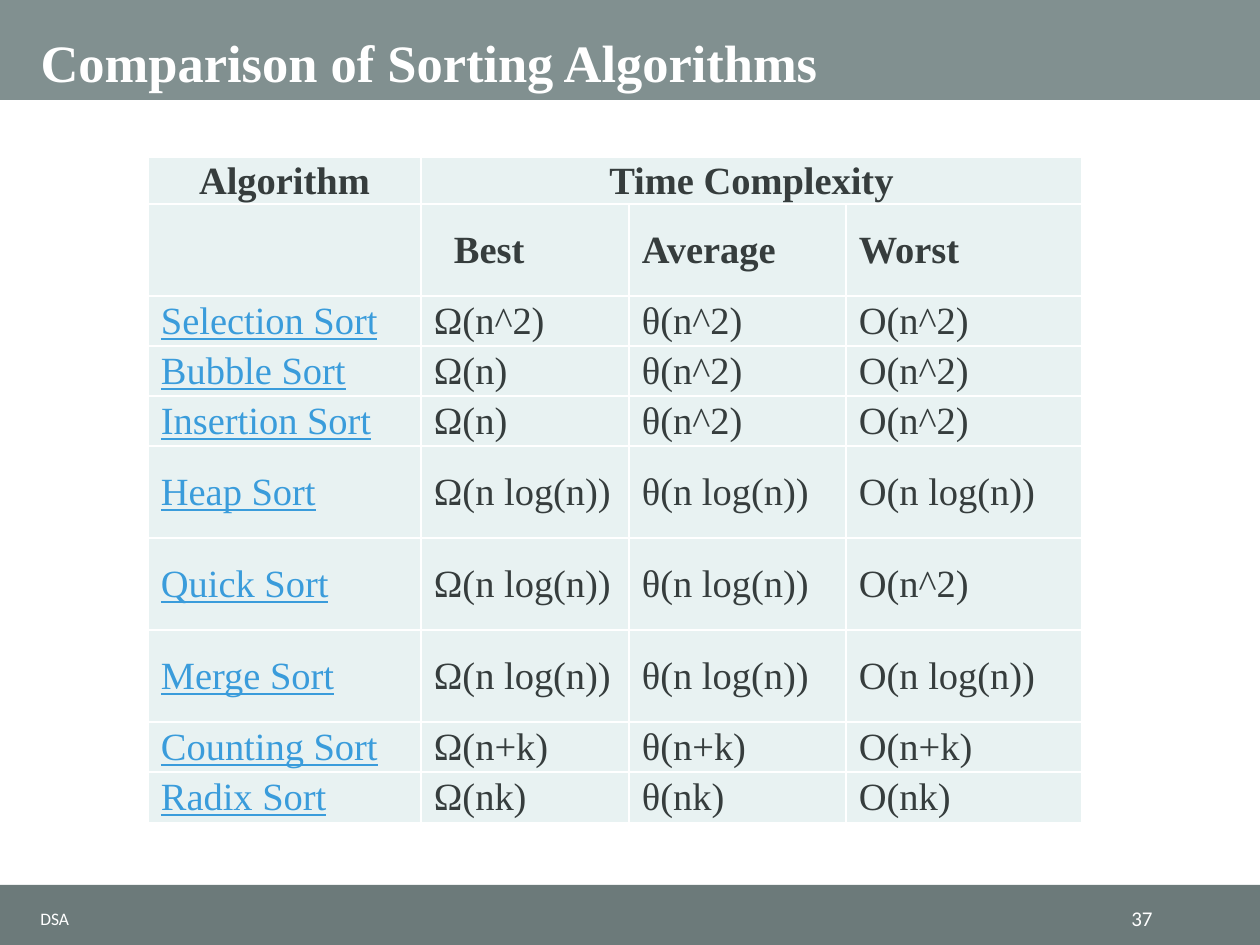
from dataclasses import dataclass

from lxml.etree import SubElement
from pptx import Presentation
from pptx.dml.color import RGBColor
from pptx.enum.shapes import MSO_SHAPE
from pptx.enum.text import MSO_ANCHOR, MSO_AUTO_SIZE, PP_ALIGN
from pptx.oxml.ns import qn
from pptx.util import Emu, Pt

PX_PER_INCH = 126
SLIDE_WIDTH, SLIDE_HEIGHT = 1260, 945
SERIF, SANS = "Times New Roman", "Calibri"
WHITE, INK, LINK, CELL_FILL = "FFFFFF", "363D3D", "3A9CDB", "E8F2F2"
CELL_MARGIN, BEST_MARGIN = 13, 33


@dataclass(frozen=True)
class Box:
    left: int
    top: int
    width: int
    height: int

    def emu(self) -> tuple:
        return tuple(px(n) for n in (self.left, self.top, self.width, self.height))


@dataclass(frozen=True)
class Style:
    font: str
    size: int
    color: str
    bold: bool = False
    underline: bool = False


@dataclass(frozen=True)
class Algorithm:
    name: str
    best: str
    average: str
    worst: str
    height: int


HEADING = Style(SERIF, 22, INK, bold=True)
VALUE = Style(SERIF, 22, INK)
LINK_NAME = Style(SERIF, 22, LINK, underline=True)

BARS = [(Box(0, 0, SLIDE_WIDTH, 100), "819090"), (Box(0, 885, SLIDE_WIDTH, 60), "6C7A7A")]
TITLE_BOX = Box(28, 0, 1206, 100)
FOOTER_BOX = Box(28, 902, 876, 33)
NUMBER_BOX = Box(1067, 902, 98, 33)
TABLE_BOX = Box(148, 157, 934, 666)
COLUMN_WIDTHS = [273, 208, 217, 236]
HEADING_HEIGHTS = [32, 92]
ALGORITHMS = [
    Algorithm("Selection Sort", "Ω(n^2)", "θ(n^2)", "O(n^2)", 50),
    Algorithm("Bubble Sort", "Ω(n)", "θ(n^2)", "O(n^2)", 50),
    Algorithm("Insertion Sort", "Ω(n)", "θ(n^2)", "O(n^2)", 50),
    Algorithm("Heap Sort", "Ω(n log(n))", "θ(n log(n))", "O(n log(n))", 92),
    Algorithm("Quick Sort", "Ω(n log(n))", "θ(n log(n))", "O(n^2)", 92),
    Algorithm("Merge Sort", "Ω(n log(n))", "θ(n log(n))", "O(n log(n))", 92),
    Algorithm("Counting Sort", "Ω(n+k)", "θ(n+k)", "O(n+k)", 50),
    Algorithm("Radix Sort", "Ω(nk)", "θ(nk)", "O(nk)", 51),
]


def px(length: int) -> Emu:
    return Emu(round(length * 914400 / PX_PER_INCH))


def rgb(color: str) -> RGBColor:
    return RGBColor.from_string(color)


def add_run(paragraph, text: str, style: Style) -> None:
    run = paragraph.add_run()
    run.text = text
    run.font.name = style.font
    run.font.size = Pt(style.size)
    run.font.bold = style.bold
    run.font.underline = style.underline
    run.font.color.rgb = rgb(style.color)


def add_bar(slide, box: Box, color: str) -> None:
    shape = slide.shapes.add_shape(MSO_SHAPE.RECTANGLE, *box.emu())
    shape.shadow.inherit = False
    shape.fill.solid()
    shape.fill.fore_color.rgb = rgb(color)
    shape.line.fill.background()


def write_title(slide, text: str) -> None:
    title = slide.shapes.title
    title.left, title.top, title.width, title.height = TITLE_BOX.emu()
    # The title lies in front of the header bar.
    title.element.getparent().append(title.element)
    frame = title.text_frame
    frame.auto_size = MSO_AUTO_SIZE.NONE
    frame.vertical_anchor = MSO_ANCHOR.BOTTOM
    paragraph = frame.paragraphs[0]
    paragraph.alignment = PP_ALIGN.LEFT
    paragraph.line_spacing = 0.9
    add_run(paragraph, text, Style(SERIF, 30, WHITE, bold=True))


def add_footer_text(slide, box: Box, text: str, size: int, alignment: PP_ALIGN) -> None:
    frame = slide.shapes.add_textbox(*box.emu()).text_frame
    frame.word_wrap = True
    frame.vertical_anchor = MSO_ANCHOR.MIDDLE
    frame.paragraphs[0].alignment = alignment
    add_run(frame.paragraphs[0], text, Style(SANS, size, WHITE))


def format_cell(cell) -> None:
    """Give the cell its white borders, fill and margins."""
    properties = cell._tc.get_or_add_tcPr()
    for side in ("a:lnL", "a:lnR", "a:lnT", "a:lnB"):
        border = SubElement(properties, qn(side), w=str(Pt(1)))
        SubElement(SubElement(border, qn("a:solidFill")), qn("a:srgbClr"), val=WHITE)
    cell.fill.solid()
    cell.fill.fore_color.rgb = rgb(CELL_FILL)
    cell.vertical_anchor = MSO_ANCHOR.MIDDLE
    cell.margin_left = px(CELL_MARGIN)
    cell.margin_right = cell.margin_top = px(1)
    cell.margin_bottom = 0


def write_cell(cell, text: str, style: Style, margin: int = CELL_MARGIN,
               alignment: PP_ALIGN = PP_ALIGN.LEFT) -> None:
    cell.margin_left = px(margin)
    paragraph = cell.text_frame.paragraphs[0]
    paragraph.alignment = alignment
    add_run(paragraph, text, style)


def add_complexity_table(slide) -> None:
    heights = HEADING_HEIGHTS + [algorithm.height for algorithm in ALGORITHMS]
    graphic = slide.shapes.add_table(len(heights), len(COLUMN_WIDTHS), *TABLE_BOX.emu())
    table = graphic.table
    for column, width in zip(table.columns, COLUMN_WIDTHS):
        column.width = px(width)
    for row, height in zip(table.rows, heights):
        row.height = px(height)
    graphic.height = px(TABLE_BOX.height)
    for cell in table.iter_cells():
        format_cell(cell)

    table.cell(0, 1).merge(table.cell(0, 3))
    for column, text in enumerate(["Algorithm", "Time Complexity"]):
        write_cell(table.cell(0, column), text, HEADING, 1, PP_ALIGN.CENTER)
    cases = [("Best", BEST_MARGIN), ("Average", CELL_MARGIN), ("Worst", CELL_MARGIN)]
    for column, (text, margin) in enumerate(cases, start=1):
        write_cell(table.cell(1, column), text, HEADING, margin)

    for row, algorithm in enumerate(ALGORITHMS, start=len(HEADING_HEIGHTS)):
        write_cell(table.cell(row, 0), algorithm.name, LINK_NAME)
        values = [algorithm.best, algorithm.average, algorithm.worst]
        for column, text in enumerate(values, start=1):
            write_cell(table.cell(row, column), text, VALUE)


def main() -> None:
    presentation = Presentation()
    presentation.slide_width, presentation.slide_height = px(SLIDE_WIDTH), px(SLIDE_HEIGHT)
    slide = presentation.slides.add_slide(presentation.slide_layouts[5])
    for box, color in BARS:
        add_bar(slide, box, color)
    write_title(slide, "Comparison of Sorting Algorithms")
    add_footer_text(slide, FOOTER_BOX, "DSA", 10, PP_ALIGN.LEFT)
    add_footer_text(slide, NUMBER_BOX, "37", 12, PP_ALIGN.RIGHT)
    add_complexity_table(slide)
    presentation.save("out.pptx")


if __name__ == "__main__":
    main()
